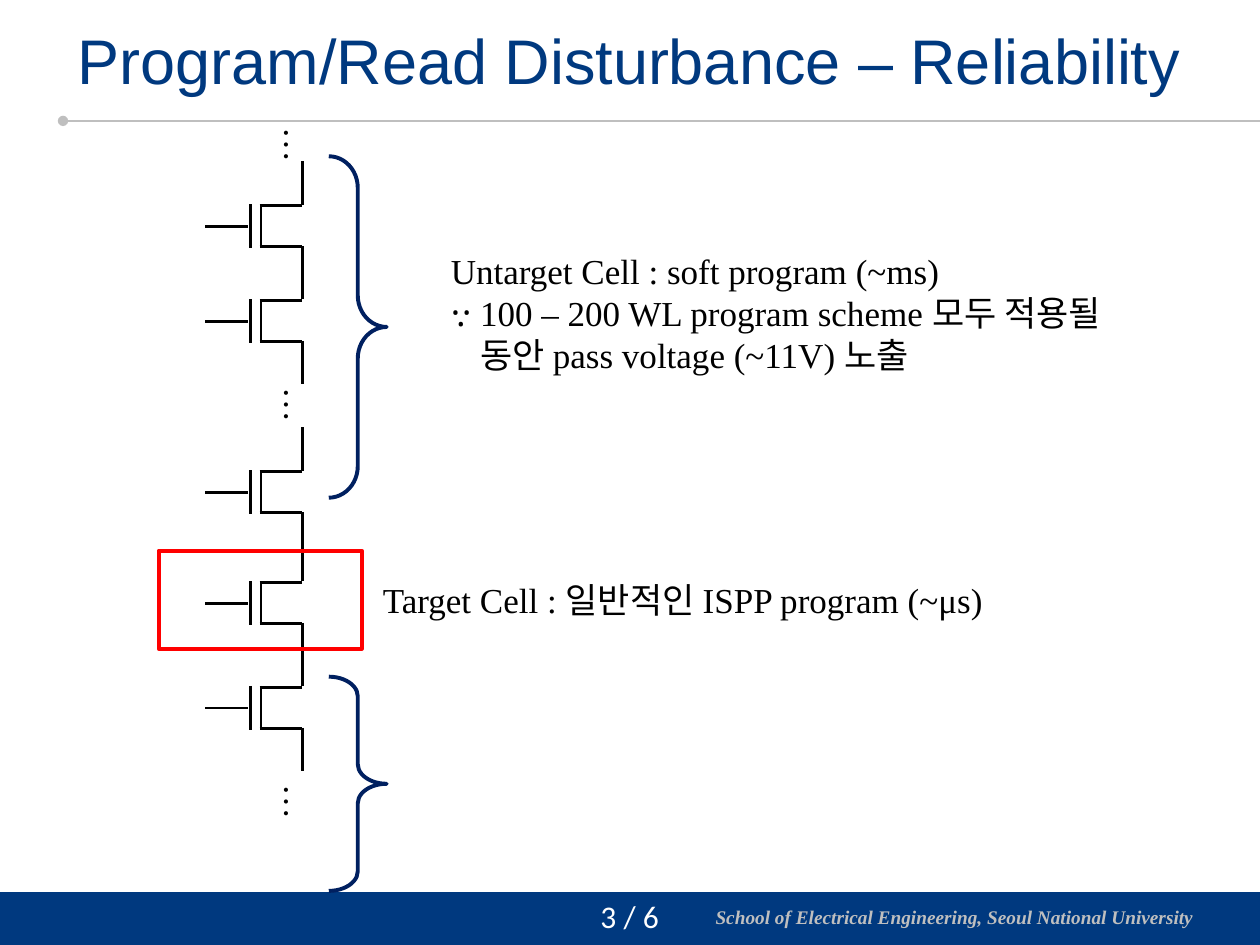
import pptx
import pptx.util
import pptx.oxml
import pptx.oxml.ns
import pptx.dml.color
import pptx.enum.shapes
import pptx.enum.text

Pt = pptx.util.Pt
SHAPE = pptx.enum.shapes.MSO_SHAPE
ALIGN = pptx.enum.text.PP_ALIGN
ANCHOR = pptx.enum.text.MSO_ANCHOR
SERIF = "Times New Roman"
COLORS = {"blue": "00397F", "navy": "002060", "gray": "BFBFBF",
          "red": "FF0000", "black": "000000", "white": "FFFFFF"}


def color(name):
    return pptx.dml.color.RGBColor.from_string(COLORS[name])


def add_text(slide, box, text, size=20, font=SERIF, ink="black", bold=False,
             italic=False, align=ALIGN.LEFT, anchor=ANCHOR.TOP, spacing=1.0,
             turn=0, indents=()):
    shape = slide.shapes.add_textbox(*map(Pt, box))
    shape.rotation = turn
    frame = shape.text_frame
    frame.word_wrap = True
    frame.vertical_anchor = anchor
    frame.text = text
    for para in frame.paragraphs:
        para.alignment = align
        para.line_spacing = spacing
        para.font.size = Pt(size)
        para.font.name = font
        para.font.bold = bold
        para.font.italic = italic
        para.font.color.rgb = color(ink)
    for para, indent in zip(frame.paragraphs, indents):
        para._p.get_or_add_pPr().set("marL", str(Pt(indent)))


def add_line(shapes, x1, y1, x2, y2, ink="black", width=1.5, head=None):
    line = shapes.add_connector(pptx.enum.shapes.MSO_CONNECTOR.STRAIGHT,
                                Pt(x1), Pt(y1), Pt(x2), Pt(y2))
    line.line.color.rgb = color(ink)
    line.line.width = Pt(width)
    if head:
        end = pptx.oxml.parse_xml(
            f'<a:headEnd {pptx.oxml.ns.nsdecls("a")} type="{head}"/>')
        line.line._get_or_add_ln().append(end)
    line._element.spPr.append(pptx.oxml.parse_xml(
        f'<a:effectLst {pptx.oxml.ns.nsdecls("a")}/>'))


def add_form(slide, kind, box, fill=None, ink=None):
    shape = slide.shapes.add_shape(kind, *map(Pt, box))
    shape.shadow.inherit = False
    if fill:
        shape.fill.solid()
        shape.fill.fore_color.rgb = color(fill)
    else:
        shape.fill.background()
    if ink:
        shape.line.color.rgb = color(ink)
        shape.line.width = Pt(2.25)
    else:
        shape.line.fill.background()
    return shape


def add_header(slide, left, top, width):
    add_text(slide, (left + 7, top + 13, width - 15, 47),
             "Program/Read Disturbance – Reliability", size=36, font="Arial",
             ink="blue", align=ALIGN.CENTER, anchor=ANCHOR.MIDDLE, spacing=0.9)
    add_line(slide.shapes, left + 36, top + 69.1, left + width, top + 69.1,
             ink="gray", width=0.75, head="oval")


def add_footer(slide, left, top, width, height):
    add_form(slide, SHAPE.RECTANGLE, (left, top, width, height), fill="blue")
    add_text(slide, (left + 402.5, top + 5.7, 318, 19),
             "School of Electrical Engineering, Seoul National University",
             size=11, ink="gray", bold=True, italic=True, spacing=0.85)
    add_text(slide, (left + 325.5, top - 0.7, 70, 29), "3 / 6", size=18,
             font="Calibri", ink="white", align=ALIGN.CENTER,
             anchor=ANCHOR.MIDDLE)


def add_cell(slide, left, top):
    """One transistor, drawn as a group of lines."""
    parts = slide.shapes.add_group_shape().shapes
    drain, gate, body = 55.4, 25.9, 31.7
    for x1, y1, x2, y2 in (
            (drain, 0, drain, 24.7),          # lead above
            (drain, 48.4, drain, 73),         # lead below
            (31, 25.2, drain, 25.2),          # upper arm
            (31, 48.8, drain, 48.8),          # lower arm
            (body, 24.5, body, 49.4),         # channel
            (0, 37.2, 24.5, 37.2),            # word line
            (gate, 24.5, gate, 49.4)):        # gate plate
        add_line(parts, left + x1, top + y1, left + x2, top + y2)


def add_string(slide, left, top):
    """Chain of cells, with dots where it goes on."""
    for down in (0, 54.2, 152, 215.4, 275.3):
        add_cell(slide, left, top + down)
    for down in (-25.2, 123.1, 349.9):
        add_text(slide, (left + 10.8, top + down, 57, 31.7), "…",
                 align=ALIGN.CENTER, turn=270)


def add_notes(slide, left, top):
    """Target frame, braces and the two remarks."""
    add_form(slide, SHAPE.RECTANGLE, (left, top + 225.4, 116, 56), ink="red")
    for down, height, curve in ((0, 195.1, 0.545), (297.4, 122.4, 0.338)):
        brace = add_form(slide, SHAPE.RIGHT_BRACE,
                         (left + 97.2, top + down, 33.1, height), ink="navy")
        brace.adjustments[0] = curve
    add_text(slide, (left + 121, top + 237.6, 392, 31.7),
             "Target Cell : 일반적인 ISPP program (~μs)")
    add_text(slide, (left + 159.8, top + 49.7, 409, 80),
             "Untarget Cell : soft program (~ms)\n"
             "⸪ 100 – 200 WL program scheme 모두 적용될\n"
             "동안 pass voltage (~11V) 노출", indents=(0, 0, 17))


def main():
    deck = pptx.Presentation()
    deck.slide_width, deck.slide_height = Pt(720), Pt(540)
    slide = deck.slides.add_slide(deck.slide_layouts[6])
    add_footer(slide, -0.7, 509.8, 721.4, 31)
    add_header(slide, 0, 0, 720)
    add_string(slide, 117.4, 92.2)
    add_notes(slide, 90.7, 89.3)
    deck.save("out.pptx")


if __name__ == "__main__":
    main()
